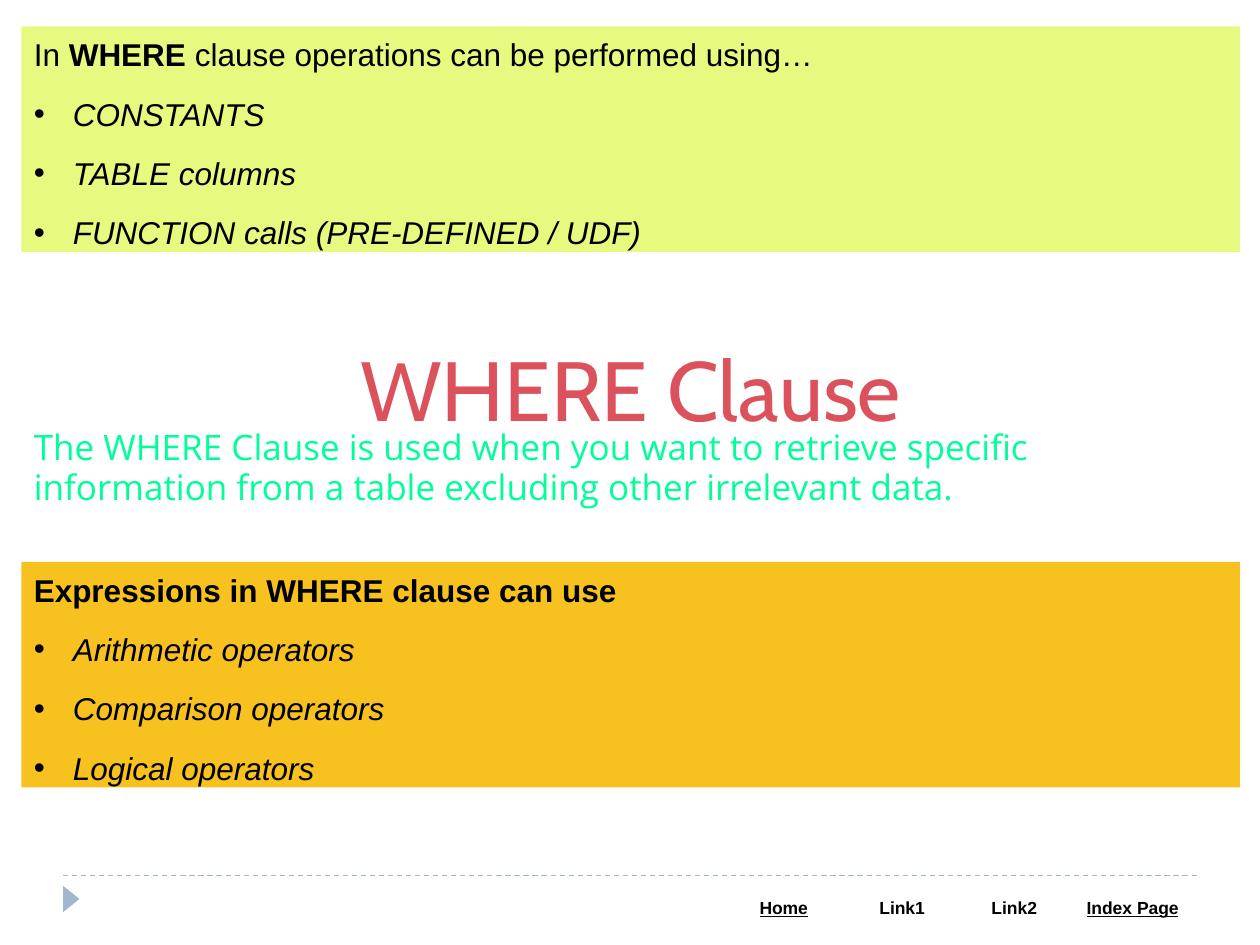
from dataclasses import dataclass

from lxml import etree
from pptx import Presentation
from pptx.dml.color import RGBColor
from pptx.enum.dml import MSO_LINE
from pptx.enum.shapes import MSO_CONNECTOR, MSO_SHAPE
from pptx.enum.text import MSO_ANCHOR, MSO_AUTO_SIZE, PP_ALIGN
from pptx.oxml.ns import qn
from pptx.util import Inches, Pt

CENTER, LEFT = PP_ALIGN.CENTER, PP_ALIGN.LEFT
TOP, MIDDLE = MSO_ANCHOR.TOP, MSO_ANCHOR.MIDDLE
GROW = MSO_AUTO_SIZE.SHAPE_TO_FIT_TEXT
RECTANGLE, TRIANGLE = MSO_SHAPE.RECTANGLE, MSO_SHAPE.ISOSCELES_TRIANGLE
STRAIGHT, DASH = MSO_CONNECTOR.STRAIGHT, MSO_LINE.DASH

WHITE = RGBColor(0xFF, 0xFF, 0xFF)
BLACK = RGBColor(0x00, 0x00, 0x00)
RED = RGBColor(0xDC, 0x52, 0x5C)
GREEN = RGBColor(0x00, 0xFF, 0x99)
LIME = RGBColor(0xE8, 0xF9, 0x7F)
AMBER = RGBColor(0xF7, 0xC1, 0x20)
BLUE_GREY = RGBColor(0x9F, 0xB8, 0xCD)

LEFT_EDGE, FULL_WIDTH = 0.17, 9.67
INDENT = Inches(0.31)


@dataclass
class Panel:
    top: float
    fill: RGBColor
    heading: list[tuple[str, bool]]  # text, bold
    items: list[str]


@dataclass
class FooterLink:
    label: str
    width: float
    underline: bool = False


PANELS = [
    Panel(4.46, AMBER, [("Expressions in WHERE clause can use", True)],
          ["Arithmetic operators", "Comparison operators", "Logical operators"]),
    Panel(0.21, LIME,
          [("In ", False), ("WHERE", True),
           (" clause operations can be performed using…", False)],
          ["CONSTANTS", "TABLE columns", "FUNCTION calls (PRE-DEFINED / UDF)"]),
]
LINKS = [FooterLink("Home", 0.94, True), FooterLink("Link1", 0.94),
         FooterLink("Link2", 0.84), FooterLink("Index Page", 1.04, True)]


def style(para, font: str, size: float, color: RGBColor, align=LEFT) -> None:
    para.alignment = align
    para.font.name = font
    para.font.size = Pt(size)
    para.font.color.rgb = color


def add_bullet(para) -> None:
    properties = para._p.get_or_add_pPr()
    properties.set("marL", str(INDENT))
    properties.set("indent", str(-INDENT))
    etree.SubElement(properties, qn("a:buFont")).set("typeface", "Arial")
    etree.SubElement(properties, qn("a:buChar")).set("char", "•")


def add_plain_shape(page, kind, left: float, top: float, width: float,
                    height: float, fill: RGBColor):
    shape = page.shapes.add_shape(kind, Inches(left), Inches(top),
                                  Inches(width), Inches(height))
    shape.shadow.inherit = False
    shape.fill.solid()
    shape.fill.fore_color.rgb = fill
    shape.line.fill.background()
    return shape


def add_text_panel(page, top: float, height: float, fill: RGBColor):
    box = add_plain_shape(page, RECTANGLE, LEFT_EDGE, top, FULL_WIDTH, height, fill)
    frame = box.text_frame
    frame.word_wrap = True
    frame.vertical_anchor = TOP
    frame.auto_size = GROW
    return frame


def add_list_panel(page, panel: Panel) -> None:
    frame = add_text_panel(page, panel.top, 1.79, panel.fill)
    heading = frame.paragraphs[0]
    heading.line_spacing = 1.07
    for text, bold in panel.heading:
        span = heading.add_run()
        span.text = text
        span.font.bold = bold
    for item in panel.items:
        para = frame.add_paragraph()
        para.text = item
        para.line_spacing = 1.5
        para.font.italic = True
    for para in frame.paragraphs:
        para.space_before = Pt(1.5)
        style(para, "Arial", 18, BLACK)
    for para in frame.paragraphs[1:]:
        add_bullet(para)


def add_footer(page) -> None:
    marker = add_plain_shape(page, TRIANGLE, 0.46, 7.07, 0.21, 0.13, BLUE_GREY)
    marker.rotation = 90

    rule = page.shapes.add_connector(STRAIGHT, Inches(0.5), Inches(6.95),
                                     Inches(9.5), Inches(6.95))
    rule.line.color.rgb = BLUE_GREY
    rule.line.width = Pt(0.75)
    rule.line.dash_style = DASH
    etree.SubElement(rule._element.spPr, qn("a:effectLst"))

    width = sum(link.width for link in LINKS)
    table = page.shapes.add_table(1, len(LINKS), Inches(5.75), Inches(7.08),
                                  Inches(width), Inches(0.27)).table
    for index, link in enumerate(LINKS):
        table.columns[index].width = Inches(link.width)
        cell = table.cell(0, index)
        cell.fill.solid()
        cell.fill.fore_color.rgb = WHITE
        para = cell.text_frame.paragraphs[0]
        para.text = link.label
        style(para, "Arial", 10, BLACK, CENTER)
        para.font.bold = True
        para.font.underline = link.underline


def add_title(page) -> None:
    box = page.shapes.add_textbox(Inches(LEFT_EDGE), Inches(2.58),
                                  Inches(FULL_WIDTH), Inches(1))
    frame = box.text_frame
    frame.word_wrap = True
    frame.vertical_anchor = MIDDLE
    para = frame.paragraphs[0]
    para.text = "WHERE Clause"
    style(para, "Cabin", 48, RED, CENTER)


def add_definition(page) -> None:
    para = add_text_panel(page, 3.35, 0.82, WHITE).paragraphs[0]
    para.text = ("The WHERE Clause is used when you want to retrieve specific "
                 "information from a table excluding other irrelevant data.")
    para.line_spacing = 0.95
    style(para, "Open Sans", 20, GREEN)


def main() -> None:
    deck = Presentation()
    deck.slide_width, deck.slide_height = Inches(10), Inches(7.5)
    page = deck.slides.add_slide(deck.slide_layouts[6])

    # Footer: marker, rule and navigation
    add_footer(page)
    # Title and the two lists
    add_title(page)
    for panel in PANELS:
        add_list_panel(page, panel)
    # Definition under the title
    add_definition(page)

    deck.save("out.pptx")


if __name__ == "__main__":
    main()
